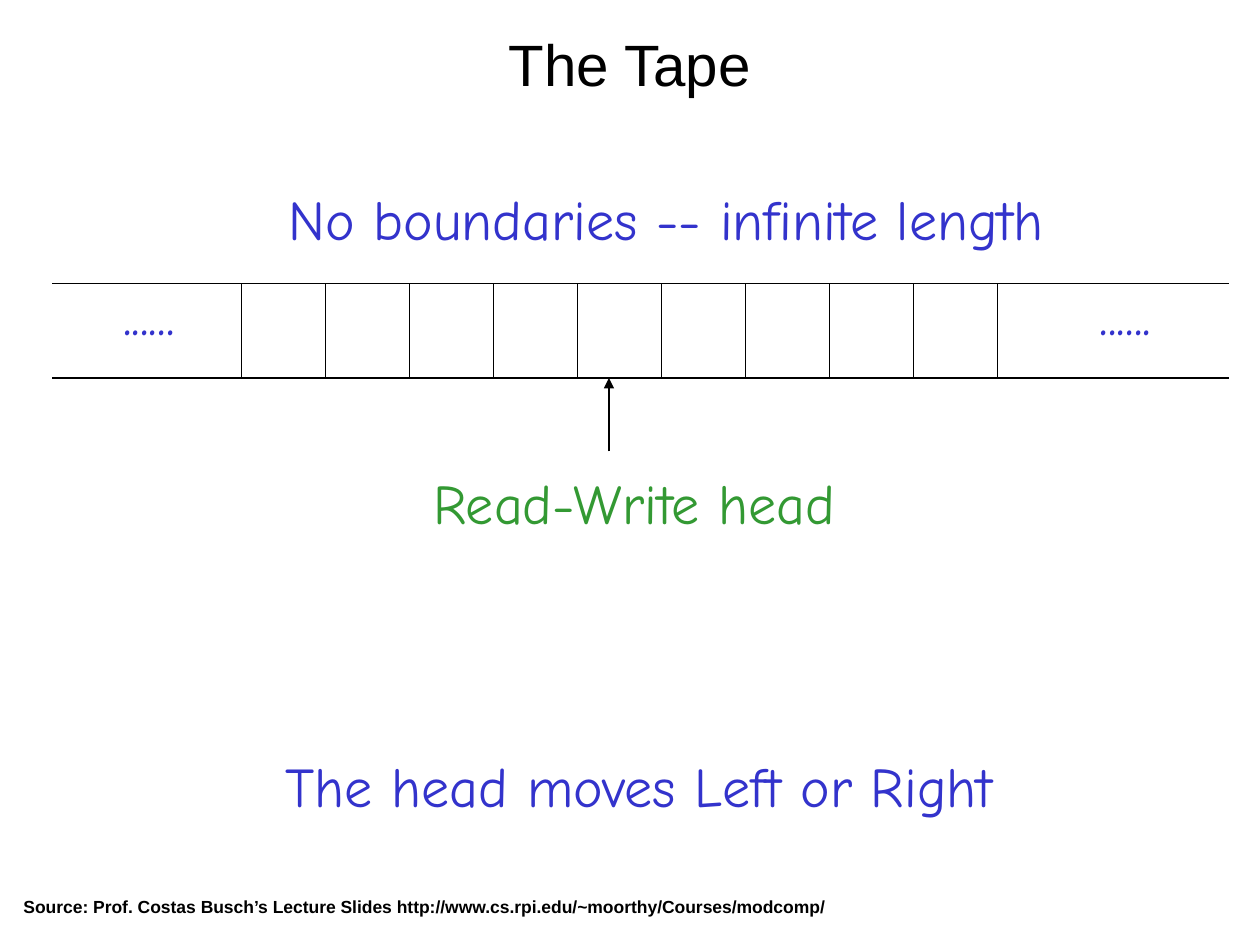
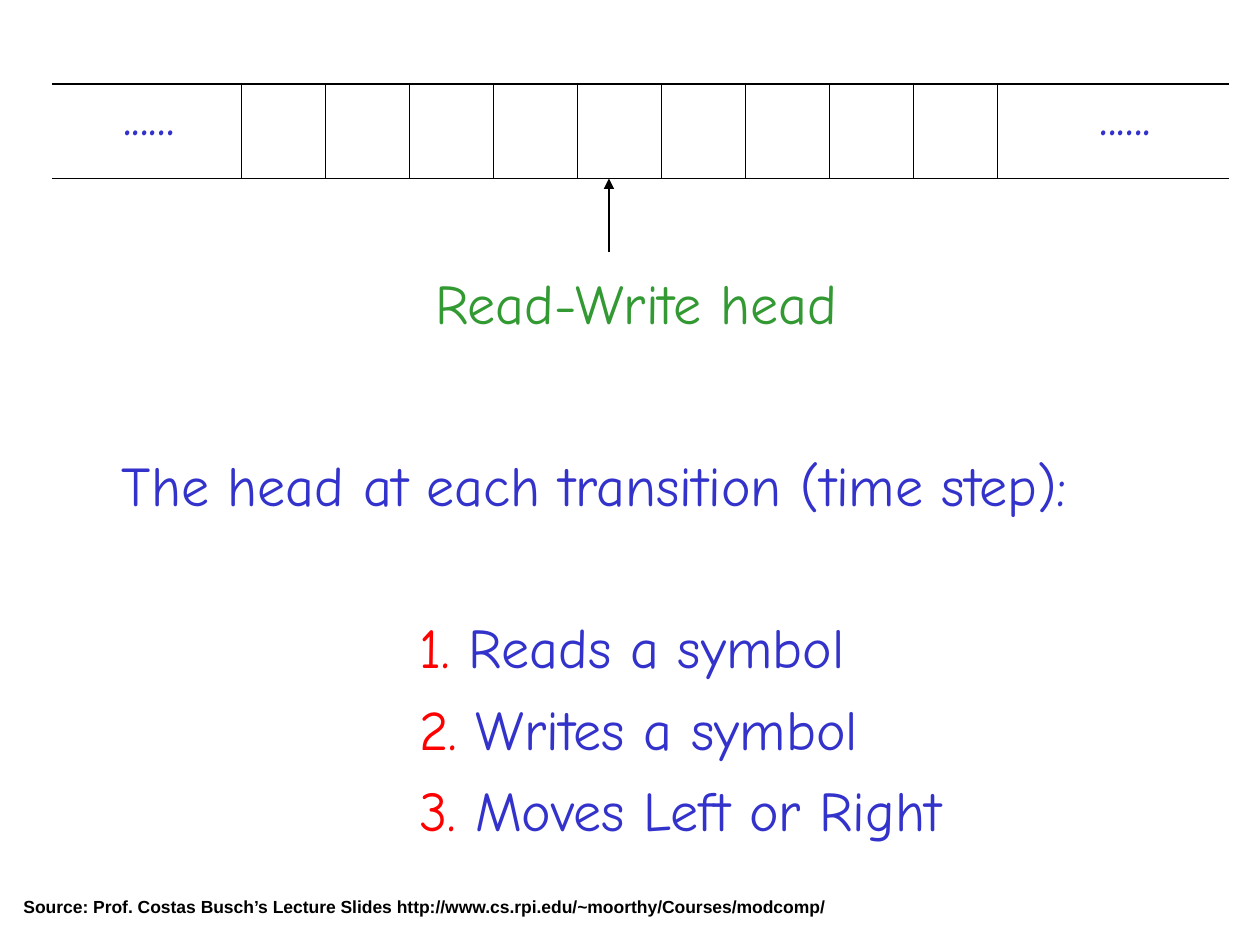
import pptx
import pptx.dml.color
import pptx.enum.shapes
import pptx.enum.text
import pptx.oxml.ns
import pptx.util
import lxml.etree

Pt = pptx.util.Pt
ALIGN = pptx.enum.text.PP_ALIGN
COLORS = {"ink": "000000", "blue": "3333CC", "green": "339933", "red": "FF0000"}
SOURCE = ("Source: Prof. Costas Busch’s Lecture Slides "
          "http://www.cs.rpi.edu/~moorthy/Courses/modcomp/")
RAIL = (30, 702)
CELL, CELLS, FIRST, TALL = 48, 9, 138, 54
HEAD = 348


def write(para, text, color="blue", size=32, font="Comic Neue", bold=False,
          align=ALIGN.LEFT):
    """Add a formatted run to a paragraph."""
    para.alignment = align
    run = para.add_run()
    run.text = text
    run.font.name = font
    run.font.size = Pt(size)
    run.font.bold = bold
    run.font.color.rgb = pptx.dml.color.RGBColor.from_string(COLORS[color])


def draw(slide, x1, y1, x2, y2, arrow=False):
    """Draw a thin line, with an arrowhead at its end if asked."""
    line = slide.shapes.add_connector(
        pptx.enum.shapes.MSO_CONNECTOR.STRAIGHT, Pt(x1), Pt(y1), Pt(x2), Pt(y2))
    line.line.width = Pt(0.75)
    line.line.color.rgb = pptx.dml.color.RGBColor.from_string(COLORS["ink"])
    if arrow:
        lxml.etree.SubElement(line.line._get_or_add_ln(),
                              pptx.oxml.ns.qn("a:tailEnd"), type="triangle")
    lxml.etree.SubElement(line._element.spPr, pptx.oxml.ns.qn("a:effectLst"))


deck = pptx.Presentation()
deck.slide_width, deck.slide_height = Pt(720), Pt(540)

# Slide 1 has a title, slide 2 starts with the tape
tape = deck.slides.add_slide(deck.slide_layouts[5])
moves = deck.slides.add_slide(deck.slide_layouts[6])

title = tape.shapes.title
title.left, title.top, title.width, title.height = Pt(12), Pt(12), Pt(696), Pt(48)
title.text_frame.auto_size = pptx.enum.text.MSO_AUTO_SIZE.NONE
title.text_frame.vertical_anchor = pptx.enum.text.MSO_ANCHOR.MIDDLE
write(title.text_frame.paragraphs[0], "The Tape", color="ink", size=33.3,
      font="Arial", align=ALIGN.CENTER)

# Text with its left, top, width and height
extras = {
    162: [("No boundaries -- infinite length", (157.7, 102, 447, 46), {}),
          ("The head moves Left or Right", (156.2, 426, 420, 46), {})],
    48: [("The head at each transition (time step):", (62.6, 254, 557, 231), {})],
}

for slide, top in zip((tape, moves), extras):
    base = top + TALL
    for y in (top, base):
        draw(slide, RAIL[0], y, RAIL[1], y)
    for i in range(CELLS + 1):
        x = FIRST + i * CELL
        draw(slide, x, top, x, base)
    draw(slide, HEAD, base + 42, HEAD, base, arrow=True)

    shared = [("......", (x, top - 6, 44, 46), {}) for x in (63.4, 621.4)]
    shared += [
        ("Read-Write head", (240.5, base + 48, 246, 46),
         {"color": "green", "align": ALIGN.LEFT if slide is tape else ALIGN.CENTER}),
        (SOURCE, (5.8, 508.3, 473, 19.4),
         {"color": "ink", "size": 10, "font": "Arial", "bold": True,
          "align": ALIGN.CENTER}),
    ]
    for text, spot, style in shared + extras[top]:
        box = slide.shapes.add_textbox(*map(Pt, spot))
        box.text_frame.word_wrap = False
        write(box.text_frame.paragraphs[0], text, **style)

# The numbered steps follow in the last box of slide 2
steps = ("Reads a symbol", "Writes a symbol", "Moves Left or Right")
for number, step in enumerate(steps, 1):
    para = box.text_frame.add_paragraph()
    para.space_before = Pt(54.3 if number == 1 else 8)
    para._p.get_or_add_pPr().set("marL", str(Pt(170)))
    write(para, f"{number}.", color="red")
    write(para, f" {step}")

deck.save("out.pptx")
